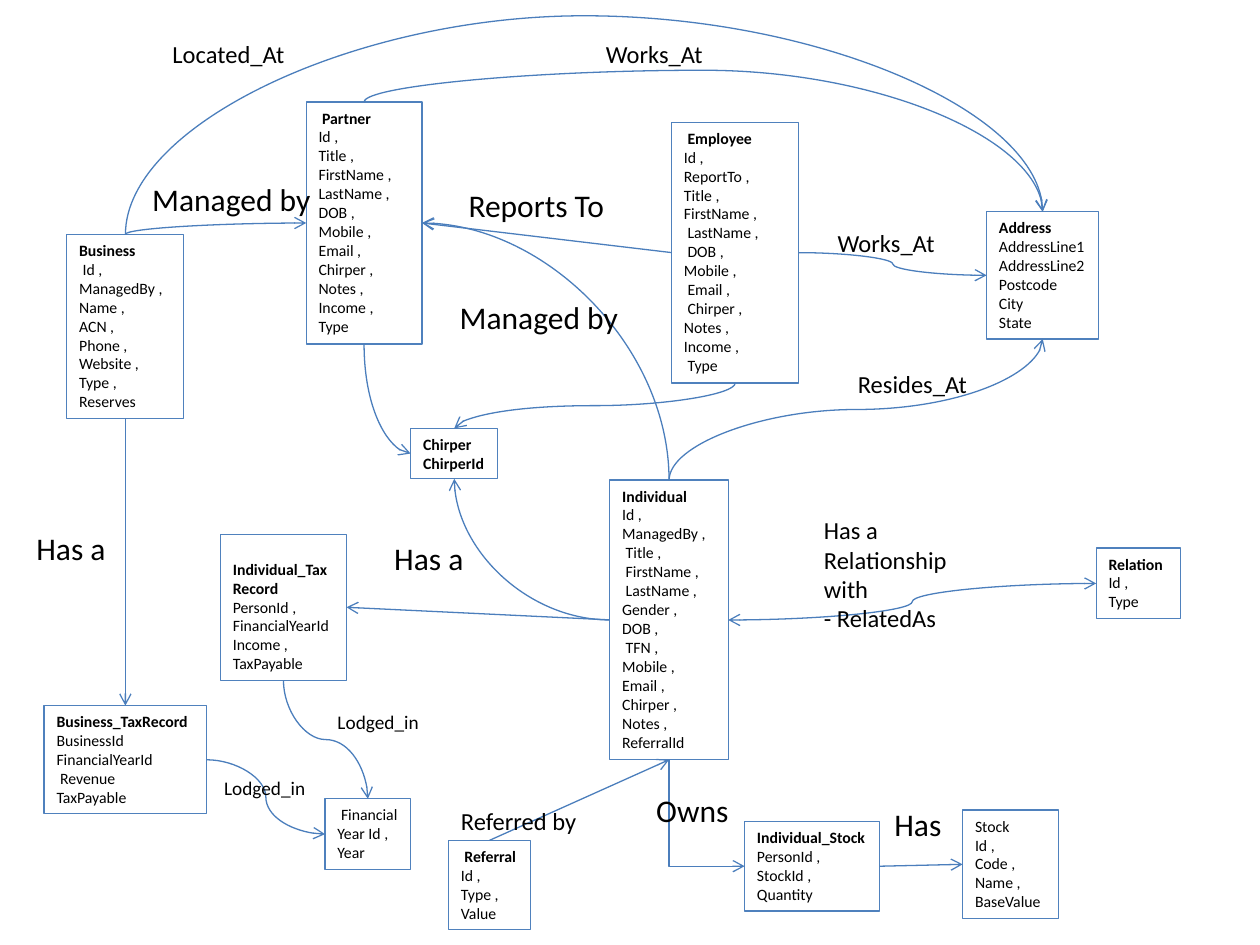
from lxml import etree
from pptx import Presentation
from pptx.dml.color import RGBColor
from pptx.enum.shapes import MSO_CONNECTOR as Route, MSO_SHAPE as Preset
from pptx.enum.text import MSO_ANCHOR as Anchor, MSO_AUTO_SIZE as AutoSize, PP_ALIGN as Align
from pptx.oxml.ns import qn
from pptx.util import Inches, Pt

COLORS = {"text": "000000", "border": "4F81BD", "link": "4B7EBC"}
TOP, LEFT, BOTTOM, RIGHT = range(4)


class Diagram:
    """Style and drawing methods for one entity diagram slide."""

    font = "Calibri"
    line_width = Pt(0.75)

    def __init__(self, slide):
        """Keep the slide and an index of its entities."""
        self.slide = slide
        self.entities = {}

    def outline(self, line, color):
        """Apply the common line width and a colour."""
        line.color.rgb = RGBColor.from_string(COLORS[color])
        line.width = self.line_width

    def add_lines(self, shape, lines, size, bold_lines=0, wrap=True):
        """Fill a shape with one paragraph per line."""
        frame = shape.text_frame
        frame.word_wrap = wrap
        frame.auto_size = AutoSize.SHAPE_TO_FIT_TEXT
        frame.vertical_anchor = Anchor.TOP
        for index, line in enumerate(lines):
            paragraph = frame.paragraphs[0] if index == 0 else frame.add_paragraph()
            paragraph.alignment = Align.LEFT
            run = paragraph.add_run()
            run.text = line
            run.font.name = self.font
            run.font.size = Pt(size)
            run.font.bold = index < bold_lines
            run.font.color.rgb = RGBColor.from_string(COLORS["text"])

    def entity(self, name, box, lines, bold_lines=1, wrap=True):
        """Draw an outlined entity with its fields."""
        shape = self.slide.shapes.add_shape(Preset.RECTANGLE, *map(Inches, box))
        shape.shadow.inherit = False
        shape.fill.background()
        self.outline(shape.line, "border")
        self.add_lines(shape, lines, 9, bold_lines, wrap)
        self.entities[name] = shape

    def label(self, box, lines, size, wrap=True):
        """Draw a relationship label."""
        self.add_lines(self.slide.shapes.add_textbox(*map(Inches, box)), lines, size, wrap=wrap)

    def link(self, start, start_side, end, end_side, route=Route.STRAIGHT, bend=None, both=False):
        """Join two entity sides with an arrow."""
        connector = self.slide.shapes.add_connector(route, 0, 0, 0, 0)
        connector.begin_connect(self.entities[start], start_side)
        connector.end_connect(self.entities[end], end_side)
        self.outline(connector.line, "link")
        if route != Route.STRAIGHT:
            self.bend(connector, start_side, end_side, bend)
        line = connector._element.spPr.find(qn("a:ln"))
        for tag in ("a:headEnd", "a:tailEnd") if both else ("a:tailEnd",):
            etree.SubElement(line, qn(tag), type="arrow")
        etree.SubElement(connector._element.spPr, qn("a:effectLst"))

    def bend(self, connector, start_side, end_side, bend):
        """Turn a connector so that it leaves and enters square to the sides."""
        dx = connector.end_x - connector.begin_x
        dy = connector.end_y - connector.begin_y
        center_x = (connector.begin_x + connector.end_x) // 2
        center_y = (connector.begin_y + connector.end_y) // 2
        width, height = abs(dx), abs(dy)
        if start_side in (TOP, BOTTOM):
            width, height = height, width
            same = dx * dy > 0
            angle = 270 if same else 90
            flip_h = (dy < 0) != same
            flip_v = (dx > 0) != same
        else:
            angle = 180 if dx < 0 else 0
            flip_h = False
            flip_v = (dy > 0) == (dx < 0)
        connector.left, connector.top = center_x - width // 2, center_y - height // 2
        connector.width, connector.height = width, height
        frame = connector._element.spPr.find(qn("a:xfrm"))
        frame.set("rot", str(angle * 60000))
        frame.set("flipH", str(int(flip_h)))
        frame.set("flipV", str(int(flip_v)))
        geometry = connector._element.spPr.find(qn("a:prstGeom"))
        if start_side % 2 != end_side % 2:
            geometry.set("prst", geometry.get("prst").replace("3", "2"))
        elif bend is not None:
            guides = geometry.find(qn("a:avLst"))
            if guides is None:
                guides = etree.SubElement(geometry, qn("a:avLst"))
            etree.SubElement(guides, qn("a:gd"), name="adj1", fmla=f"val {round(bend * 100000)}")


ENTITIES = [
    ("business", (0.53, 1.86, 0.93, 1.46),
     ["Business", " Id , ManagedBy , ", "Name , ", "ACN , ", "Phone , ", "Website , ", "Type , ",
      "Reserves "]),
    ("business tax", (0.35, 5.6, 1.29, 0.86),
     ["Business_TaxRecord", "BusinessId ", "FinancialYearId", " Revenue  ", "TaxPayable "]),
    ("holding", (5.91, 6.52, 1.07, 0.71),
     ["Individual_Stock", "PersonId , ", "StockId , ", "Quantity "], 1, False),
    ("stock", (7.64, 6.43, 0.76, 0.86),
     ["Stock", "Id , ", "Code , ", "Name , ", "BaseValue "], 0, False),
    ("relation", (8.7, 4.35, 0.67, 0.56), ["Relation ", "Id , ", "Type "], 1, False),
    ("referral", (3.56, 6.67, 0.65, 0.71), [" Referral", "Id , ", "Type , ", "Value "], 1, False),
    ("partner", (2.43, 0.81, 0.92, 1.92),
     [" Partner", "Id , ", "Title , ", "FirstName , ", "LastName , ", "DOB , ", "Mobile , ",
      "Email , ", "Chirper , ", "Notes , ", "Income , ", "Type "]),
    ("individual tax", (1.75, 4.24, 1, 1.16),
     [" Individual_TaxRecord", "PersonId , ", "FinancialYearId ", "Income , ", "TaxPayable "]),
    ("individual", (4.84, 3.81, 0.94, 2.22),
     ["Individual ", "Id , ", "ManagedBy ,", " Title ,", " FirstName ,", " LastName , ",
      "Gender , ", "DOB ,", " TFN , ", "Mobile , ", "Email , ", "Chirper , ", "Notes , ",
      "ReferralId "]),
    ("employee", (5.33, 0.97, 1.01, 2.07),
     [" Employee", "Id , ", "ReportTo , ", "Title , ", "FirstName ,", " LastName ,", " DOB , ",
      "Mobile ,", " Email ,", " Chirper , ", "Notes ,", "Income ,", " Type "]),
    ("year", (2.58, 6.34, 0.68, 0.56), [" Financial", "Year Id , ", "Year "], 0, False),
    ("account", (3.26, 3.4, 0.69, 0.4), ["Chirper", "ChirperId"], 2),
    ("address", (7.83, 1.68, 0.89, 1.01),
     ["Address", "AddressLine1", "AddressLine2", "Postcode", "City", "State"], 1, False),
]

LINKS = [
    ("business", BOTTOM, "business tax", TOP),
    ("holding", RIGHT, "stock", LEFT),
    ("individual", BOTTOM, "holding", LEFT, Route.ELBOW),
    ("referral", TOP, "individual", BOTTOM),
    ("employee", LEFT, "partner", RIGHT),
    ("individual", LEFT, "individual tax", RIGHT),
    ("business", TOP, "partner", LEFT, Route.CURVE),
    ("individual", TOP, "partner", RIGHT, Route.CURVE),
    ("business tax", RIGHT, "year", LEFT, Route.CURVE),
    ("individual tax", BOTTOM, "year", TOP, Route.CURVE),
    ("partner", BOTTOM, "account", LEFT, Route.CURVE),
    ("individual", LEFT, "account", BOTTOM, Route.CURVE),
    ("employee", RIGHT, "address", LEFT, Route.CURVE),
    ("partner", TOP, "address", TOP, Route.CURVE, -0.29),
    ("individual", TOP, "address", BOTTOM, Route.CURVE, 0.5),
    ("business", TOP, "address", TOP, Route.CURVE, 9.64),
    ("employee", BOTTOM, "account", TOP, Route.CURVE, 0.5),
    ("relation", LEFT, "individual", RIGHT, Route.CURVE, None, True),
]

LABELS = [
    ((3.62, 1.43, 1.29, 0.4), ["Reports To"], 18, False),
    ((3.55, 2.32, 1.68, 0.4), ["Managed by"], 18),
    ((1.11, 1.38, 1.68, 0.4), ["Managed by"], 18),
    ((6.44, 4.04, 1.21, 1.04), ["Has a Relationship with", "- RelatedAs"], 14),
    ((3.03, 4.23, 0.85, 0.4), ["Has a"], 18),
    ((0.19, 4.15, 0.81, 0.4), ["Has a"], 18),
    ((5.11, 6.23, 0.78, 0.4), ["Owns"], 18, False),
    ((7, 6.34, 0.58, 0.4), ["Has"], 18, False),
    ((3.56, 6.35, 1.13, 0.34), ["Referred by"], 14, False),
    ((2.58, 5.59, 0.85, 0.29), ["Lodged_in"], 11),
    ((1.68, 6.11, 0.85, 0.29), ["Lodged_in"], 11),
    ((6.55, 1.76, 1.21, 0.34), ["Works_At"], 14),
    ((4.71, 0.26, 1.21, 0.34), ["Works_At"], 14),
    ((6.71, 2.88, 1.21, 0.34), ["Resides_At"], 14),
    ((1.27, 0.26, 1.21, 0.34), ["Located_At"], 14),
]


def main():
    """Build and save the entity diagram."""
    presentation = Presentation()
    presentation.slide_width, presentation.slide_height = Inches(10), Inches(7.5)
    diagram = Diagram(presentation.slides.add_slide(presentation.slide_layouts[6]))
    for entity in ENTITIES:
        diagram.entity(*entity)
    for link in LINKS:
        diagram.link(*link)
    for label in LABELS:
        diagram.label(*label)
    presentation.save("out.pptx")


main()
